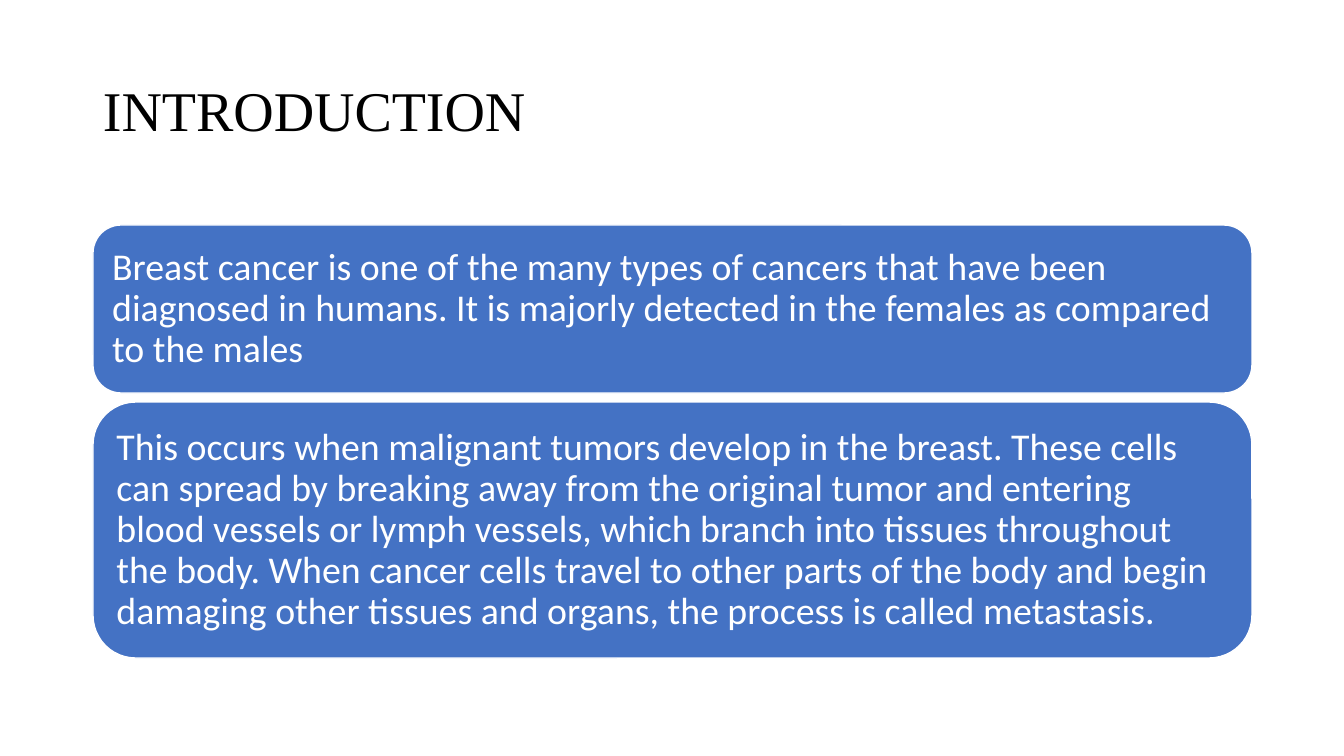
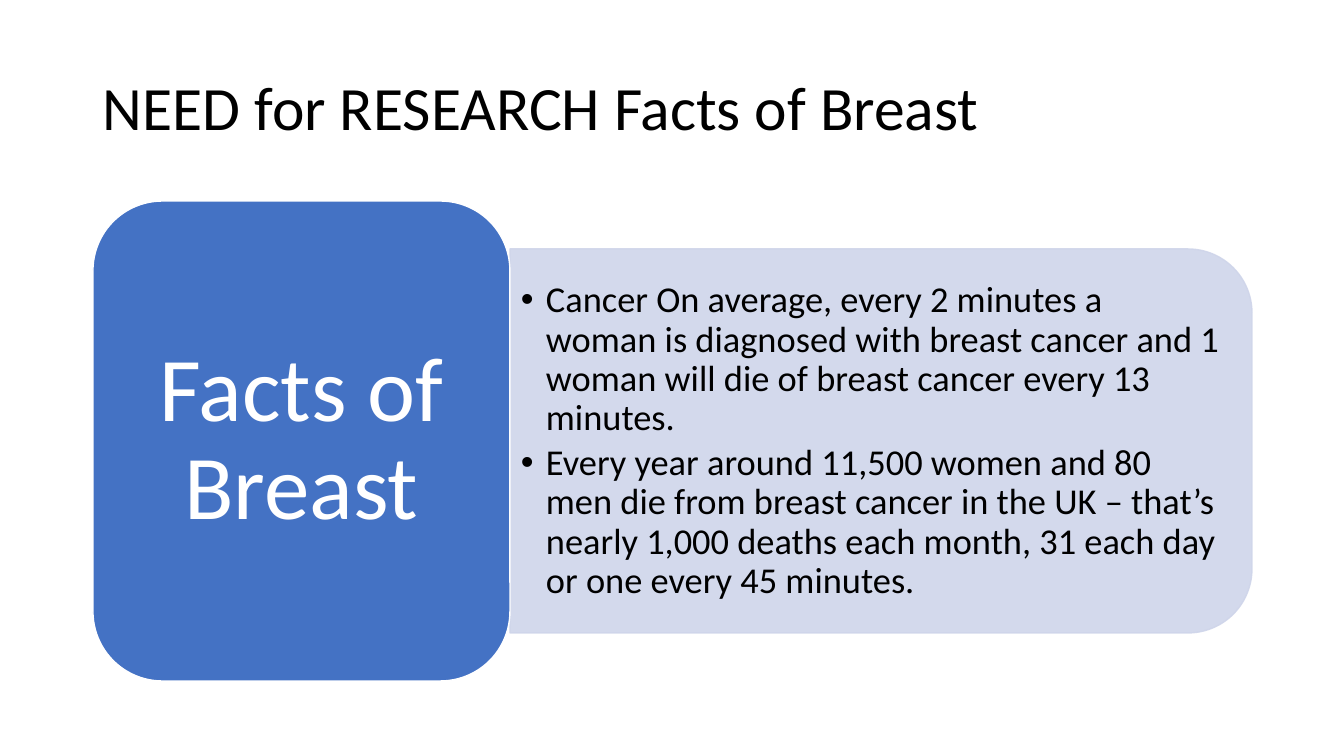
import pptx
import pptx.util
import pptx.dml.color
import pptx.enum.shapes
import pptx.enum.text
import pptx.oxml
import pptx.oxml.ns

PX = 914400 / 100.8  # EMU in one px
COLORS = {"blue": "4472C4", "pale": "CFD5EA", "white": "FFFFFF", "black": "000000"}
FONT = "Calibri"
LEFT, WIDTH = 93, 1159
SHAPES = pptx.enum.shapes.MSO_SHAPE
ALIGN = pptx.enum.text.PP_ALIGN


def px(*lengths):
    return [pptx.util.Emu(round(length * PX)) for length in lengths]


def write(shape, paragraphs, size, color, insets, align=ALIGN.LEFT, font=FONT):
    """Fill a shape with vertically centred text; insets are (left, right, top and bottom)."""
    frame = shape.text_frame
    frame.text = "\n".join(paragraphs)
    frame.word_wrap = True
    frame.auto_size = pptx.enum.text.MSO_AUTO_SIZE.NONE
    frame.vertical_anchor = pptx.enum.text.MSO_ANCHOR.MIDDLE
    frame.margin_left, frame.margin_right, frame.margin_top = px(*insets)
    frame.margin_bottom = frame.margin_top
    for paragraph in frame.paragraphs:
        paragraph.alignment = align
        paragraph.line_spacing = 0.9
        for run in paragraph.runs:
            run.font.name = font
            run.font.size = pptx.util.Pt(size)
            run.font.color.rgb = pptx.dml.color.RGBColor.from_string(COLORS[color])


deck = pptx.Presentation()
deck.slide_width, deck.slide_height = px(1344, 756)

# Slides with their titles: text, top, size, font
slides = []
for text, top, size, font in [
    ("INTRODUCTION", 40, 40, "Times New Roman"),
    ("NEED for RESEARCH Facts of Breast", 38, 44, FONT),
]:
    slide = deck.slides.add_slide(deck.slide_layouts[5])
    title = slide.shapes.title
    title.left, title.top, title.width, title.height = px(LEFT, top, WIDTH, 146)
    write(title, [text], size, "black", (10, 10, 5), font=font)
    slides.append(slide)
introduction, research = slides

# Second slide: pale panel on its side, round corners to the right, with the facts over it
panel_left, panel_top, panel_width, panel_height = 510, 249, 742, 384
turn = (panel_width - panel_height) / 2
panel = research.shapes.add_shape(
    SHAPES.ROUND_2_SAME_RECTANGLE,
    *px(panel_left + turn, panel_top - turn, panel_height, panel_width))
panel.rotation = 90
panel.shadow.inherit = False
panel.line.width = pptx.util.Pt(1)
for fill in (panel.fill, panel.line.fill):
    fill.solid()
    fill.fore_color.rgb = pptx.dml.color.RGBColor.from_string(COLORS["pale"])
for color in panel._element.spPr.iter(pptx.oxml.ns.qn("a:srgbClr")):
    color.append(pptx.oxml.parse_xml(
        f'<a:alpha {pptx.oxml.ns.nsdecls("a")} val="90000"/>'))

facts = research.shapes.add_textbox(*px(panel_left, 268, 723, 347))
write(facts, [
    "Cancer On average, every 2 minutes a woman is diagnosed with breast cancer "
    "and 1 woman will die of breast cancer every 13 minutes.",
    "Every year around 11,500 women and 80 men die from breast cancer in the UK – "
    "that’s nearly 1,000 deaths each month, 31 each day or one every 45 minutes.",
], 26, "black", (11, 11, 5))
indent, = px(25)
for fact in facts.text_frame.paragraphs:
    fact.space_after = pptx.util.Pt(4)
    properties = fact._p.get_or_add_pPr()
    properties.set("marL", str(indent))
    properties.set("indent", str(-indent))
    properties.append(pptx.oxml.parse_xml(
        f'<a:buFont {pptx.oxml.ns.nsdecls("a")} typeface="Arial"/>'))
    properties.append(pptx.oxml.parse_xml(
        f'<a:buChar {pptx.oxml.ns.nsdecls("a")} char="•"/>'))

# Blue cards of both slides: slide, top, width, height, text, size, insets, alignment
for slide, top, width, height, text, size, insets, align in [
    (introduction, 225, WIDTH, 168,
     "Breast cancer is one of the many types of cancers that have been diagnosed in "
     "humans. It is majorly detected in the females as compared to the males",
     27, (11, 11, 11), ALIGN.LEFT),
    (introduction, 402, WIDTH, 256,
     "This occurs when malignant tumors develop in the breast. These cells can spread "
     "by breaking away from the original tumor and entering blood vessels or lymph "
     "vessels, which branch into tissues throughout the body. When cancer cells travel "
     "to other parts of the body and begin damaging other tissues and organs, the "
     "process is called metastasis.",
     27, (11, 19, 11), ALIGN.LEFT),
    (research, 201, 417, 480, "Facts of Breast", 65, (27, 27, 14), ALIGN.CENTER),
]:
    card = slide.shapes.add_shape(
        SHAPES.ROUNDED_RECTANGLE, *px(LEFT, top, width, height))
    card.shadow.inherit = False
    card.fill.solid()
    card.fill.fore_color.rgb = pptx.dml.color.RGBColor.from_string(COLORS["blue"])
    card.line.color.rgb = pptx.dml.color.RGBColor.from_string(COLORS["white"])
    card.line.width = pptx.util.Pt(1)
    write(card, [text], size, "white", insets, align)

deck.save("out.pptx")
